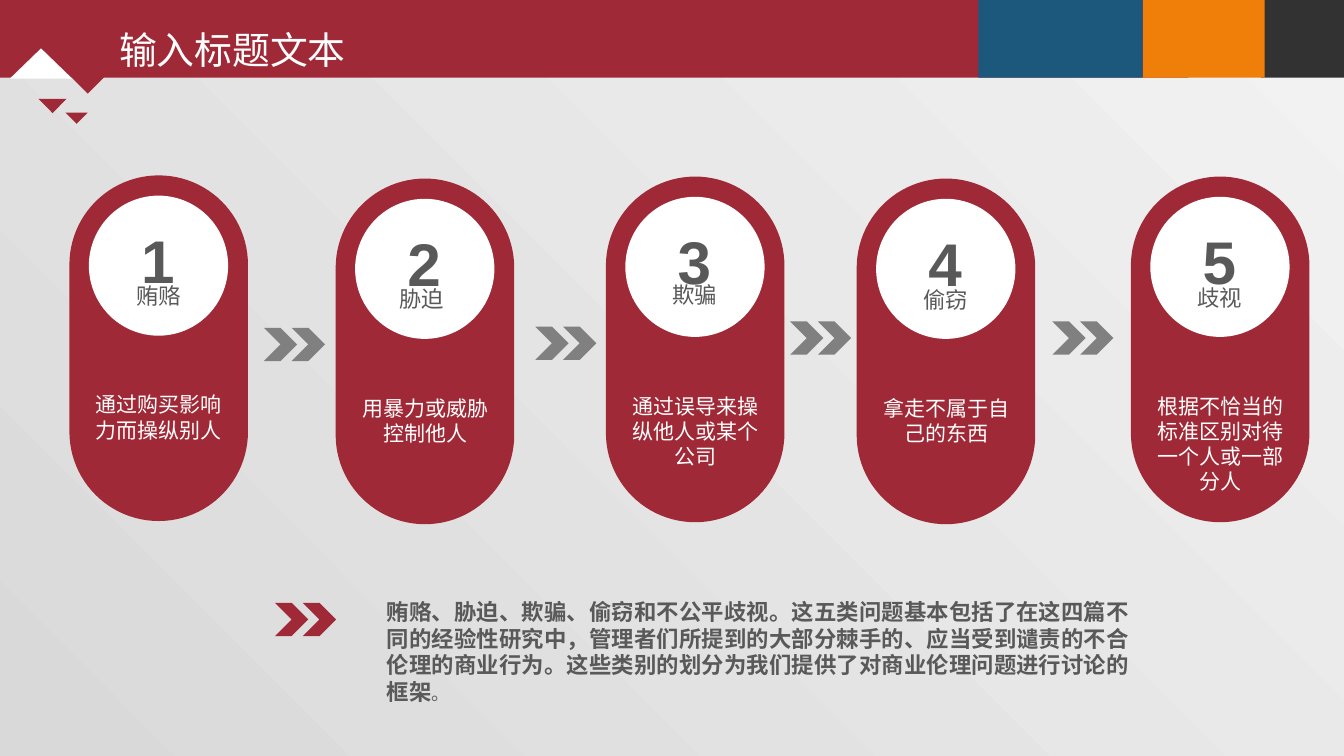
from dataclasses import dataclass

from lxml.etree import SubElement
from pptx import Presentation
from pptx.dml.color import RGBColor
from pptx.enum.shapes import MSO_SHAPE as Shape
from pptx.enum.text import MSO_AUTO_SIZE as Fit, PP_ALIGN as Align
from pptx.oxml.ns import qn
from pptx.util import Cm, Pt

COLORS = {
    "red": "9F2936", "blue": "1B587C", "orange": "F07F09", "dark": "323232",
    "white": "FFFFFF", "text": "595959", "gray": "808080",
    "bg_dark": "D9D9D9", "bg_light": "F2F2F2",
}
CJK = "Noto Sans CJK SC"


@dataclass
class Block:
    """A rectangle of the header band."""
    left: float
    width: float
    color: str


@dataclass
class Triangle:
    """A triangle on a level base; a negative height points up."""
    left: float
    base: float
    width: float
    height: float
    color: str


@dataclass
class Step:
    """A numbered capsule with its label and explanation."""
    left: float
    top: float
    label_left: float
    label_top: float
    label: str
    body: str
    body_height: float


@dataclass
class Arrow:
    """A pair of chevrons."""
    left: float
    top: float
    color: str


@dataclass
class Style:
    """The look of a text box."""
    size: float
    color: str
    font: str = CJK
    bold: bool = False
    align: Align = Align.LEFT
    line: float = 1.0
    wrap: bool = True
    inset: bool = True


BLOCKS = [
    Block(0, 29.95, "red"), Block(31.78, 2.09, "dark"),
    Block(28.8, 3.07, "orange"), Block(24.66, 4.14, "blue"),
]
TRIANGLES = [
    Triangle(1.65, 1.8, 1.12, 0.56, "red"),
    Triangle(1.65, 2.84, 0.56, 0.28, "red"),
    Triangle(0.25, 1.98, 1.57, -0.76, "white"),
    Triangle(0.97, 2.49, 0.71, 0.36, "red"),
]
STEPS = [
    Step(1.75, 4.42, 3.18, 6.99, "贿赂", "通过购买影响力而操纵别人", 1.6),
    Step(8.46, 4.5, 9.8, 7.06, "胁迫", "用暴力或威胁控制他人", 1.6),
    Step(15.27, 4.45, 16.69, 6.96, "欺骗", "通过误导来操纵他人或某个公司", 2.2),
    Step(21.59, 4.5, 23.01, 7.09, "偷窃", "拿走不属于自己的东西", 1.6),
    Step(28.5, 4.45, 29.92, 7.04, "歧视", "根据不恰当的标准区别对待一个人或一部分人", 2.82),
]
ARROWS = [
    Arrow(6.65, 8.26, "gray"), Arrow(13.49, 8.23, "gray"),
    Arrow(19.91, 8.1, "gray"), Arrow(26.52, 8.1, "gray"),
    Arrow(6.93, 15.19, "red"),
]
SUMMARY = (
    "贿赂、胁迫、欺骗、偷窃和不公平歧视。这五类问题基本包括了在这四篇不同的经验性研究中，"
    "管理者们所提到的大部分棘手的、应当受到谴责的不合伦理的商业行为。"
    "这些类别的划分为我们提供了对商业伦理问题进行讨论的框架"
)
TITLE = Style(27, "white", line=1.3, inset=False)
NUMBER = Style(43, "text", "Arial", True, Align.CENTER, 1.5, inset=False)
LABEL = Style(16, "text", align=Align.CENTER, wrap=False)
BODY = Style(15, "white", align=Align.CENTER)
SUMMARY_STYLE = Style(16, "text", bold=True, align=Align.JUSTIFY)


def rgb(name: str) -> RGBColor:
    """Look up a colour."""
    return RGBColor.from_string(COLORS[name])


def paint(sp, color: str):
    """Give a shape a flat fill without line or shadow."""
    sp.shadow.inherit = False
    sp.fill.solid()
    sp.fill.fore_color.rgb = rgb(color)
    sp.line.fill.background()
    return sp


def add_flat(shapes, kind: Shape, left: float, top: float, width: float,
             height: float, color: str):
    """Add a flat preset shape, measured in centimetres."""
    return paint(shapes.add_shape(kind, Cm(left), Cm(top), Cm(width), Cm(height)), color)


def add_triangle(shapes, t: Triangle) -> None:
    """Draw a triangle of the header ornament."""
    fb = shapes.build_freeform(Cm(t.left), Cm(t.base))
    fb.add_line_segments([
        (Cm(t.left + t.width), Cm(t.base)),
        (Cm(t.left + t.width / 2), Cm(t.base + t.height)),
    ], close=True)
    paint(fb.convert_to_shape(), t.color)


def format_run(r, style: Style) -> None:
    """Set the font of a run, for Chinese text as well."""
    r.font.size, r.font.bold = Pt(style.size), style.bold
    r.font.name = style.font
    r.font.color.rgb = rgb(style.color)
    SubElement(r.font._element, qn("a:ea")).set("typeface", style.font)


def add_text(shapes, left: float, top: float, width: float, height: float,
             text: str, style: Style):
    """Add a text box and return its paragraph."""
    tf = shapes.add_textbox(Cm(left), Cm(top), Cm(width), Cm(height)).text_frame
    tf.text = text
    tf.word_wrap = style.wrap
    tf.auto_size = Fit.SHAPE_TO_FIT_TEXT
    if not style.inset:
        tf.margin_left = tf.margin_top = tf.margin_right = tf.margin_bottom = 0
    p = tf.paragraphs[0]
    p.alignment, p.line_spacing = style.align, style.line
    format_run(p.runs[0], style)
    return p


def add_step(shapes, number: int, step: Step) -> None:
    """Draw a capsule with its number, label and explanation."""
    group = shapes.add_group_shape().shapes
    x, y = step.left, step.top
    capsule = add_flat(group, Shape.ROUNDED_RECTANGLE, x, y, 4.5, 8.71, "red")
    capsule.adjustments[0] = 0.5
    add_flat(group, Shape.OVAL, x + 0.49, y + 0.51, 3.51, 3.53, "white")
    p = add_text(group, x + 0.3, y + 0.3, 3.86, 2.74, str(number), NUMBER)
    p.runs[0].font._element.set("spc", "70")
    add_text(group, step.label_left, step.label_top, 1.65, 0.94, step.label, LABEL)
    add_text(group, x + 0.25, y + 5.33, 4.01, step.body_height, step.body, BODY)


def add_arrow(shapes, arrow: Arrow) -> None:
    """Draw a pair of chevrons."""
    group = shapes.add_group_shape().shapes
    for i in range(2):
        add_flat(group, Shape.CHEVRON, arrow.left + 0.7 * i, arrow.top, 0.84, 0.84, arrow.color)


def main() -> None:
    """Build the slide and save it."""
    prs = Presentation()
    prs.slide_width, prs.slide_height = Cm(33.87), Cm(19.05)
    s = prs.slides.add_slide(prs.slide_layouts[6])
    fill = s.background.fill
    fill.gradient()
    fill.gradient_angle = 45
    for stop, color in zip(fill.gradient_stops, ("bg_dark", "bg_light")):
        stop.color.rgb = rgb(color)

    for block in BLOCKS:
        add_flat(s.shapes, Shape.RECTANGLE, block.left, 0, block.width, 1.96, block.color)
    add_text(s.shapes, 3, 0.33, 6.43, 1.5, "输入标题文本", TITLE)
    for triangle in TRIANGLES:
        add_triangle(s.shapes, triangle)
    for number, step in enumerate(STEPS, 1):
        add_step(s.shapes, number, step)
    for arrow in ARROWS:
        add_arrow(s.shapes, arrow)

    p = add_text(s.shapes, 9.5, 14.94, 19.23, 3, SUMMARY, SUMMARY_STYLE)
    r = p.add_run()
    r.text = "。"
    format_run(r, Style(13, "text"))
    prs.save("out.pptx")


main()
